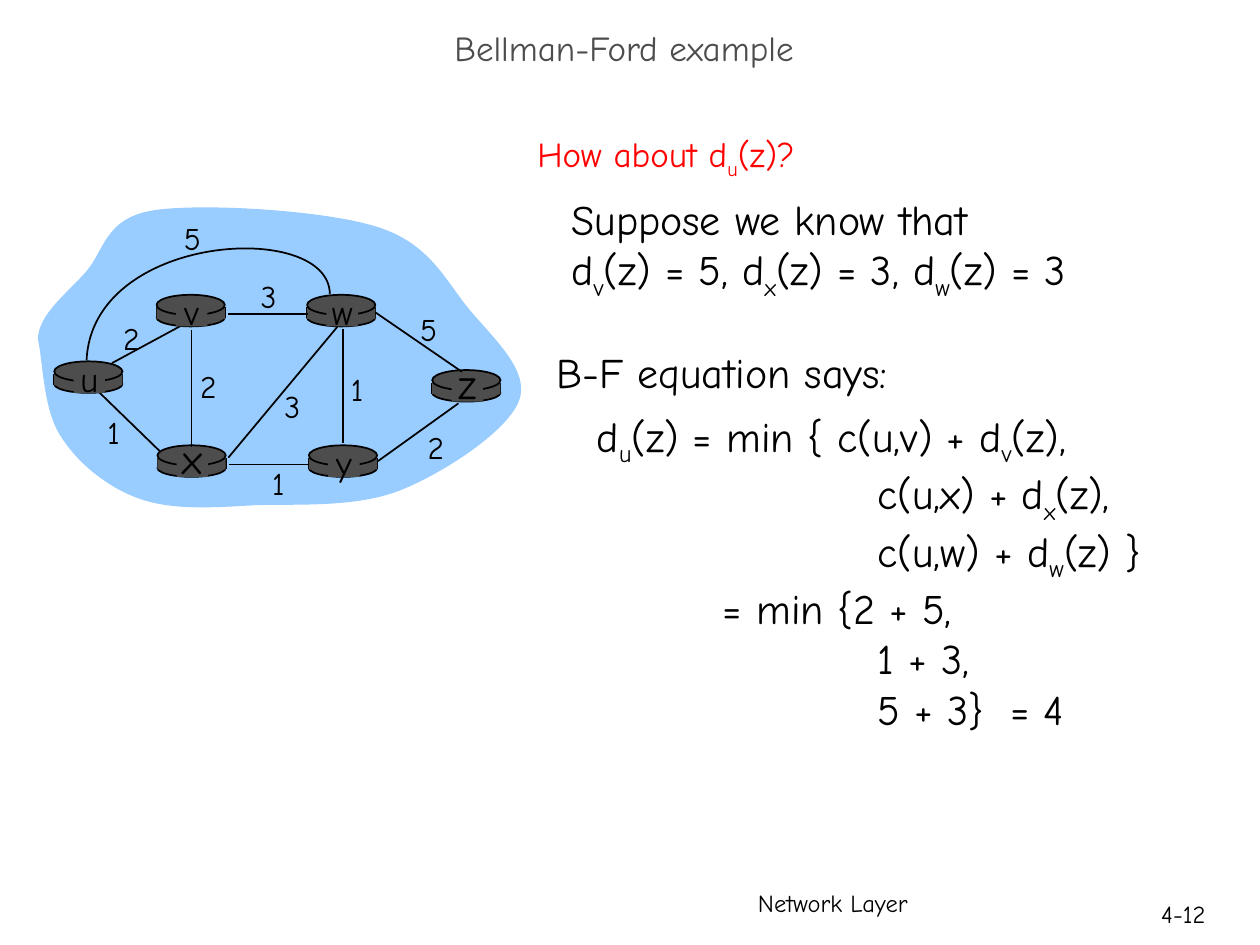
from itertools import chain

from lxml.etree import SubElement
from pptx import Presentation
from pptx.dml.color import RGBColor
from pptx.enum.shapes import MSO_CONNECTOR as Connector, MSO_SHAPE as Shape
from pptx.enum.text import MSO_ANCHOR as Anchor, MSO_AUTO_SIZE as AutoSize, PP_ALIGN as Align
from pptx.oxml.ns import qn
from pptx.util import Pt

BLACK, GREY, BLUE, RED = "000000", "4D4D4D", "99CCFF", "FF0000"


def color(hex_string):
    return RGBColor.from_string(hex_string)


class SlideWriter:
    font = "Comic Neue"
    line_width = 1

    def __init__(self, slide):
        self.slide = slide
        self.shapes = slide.shapes

    def paint(self, shape, fill=None, line=None):
        shape.shadow.inherit = False
        if fill:
            shape.fill.solid()
            shape.fill.fore_color.rgb = color(fill)
        else:
            shape.fill.background()
        if line:
            shape.line.color.rgb = color(line)
            shape.line.width = Pt(self.line_width)
        else:
            shape.line.fill.background()

    def preset(self, kind, left, top, width, height, fill, line=None):
        shape = self.shapes.add_shape(kind, Pt(left), Pt(top), Pt(width), Pt(height))
        self.paint(shape, fill, line)

    def line(self, start, end):
        connector = self.shapes.add_connector(
            Connector.STRAIGHT, *(Pt(value) for value in chain(start, end)))
        connector.line.color.rgb = color(BLACK)
        connector.line.width = Pt(self.line_width)
        SubElement(connector._element.spPr, qn("a:effectLst"))

    def curve(self, points, close, fill=None, line=None):
        """Draw cubic curves: a start point, then three points a curve."""
        outline = [(Pt(x), Pt(y)) for x, y in points]
        builder = self.shapes.build_freeform(*outline[0])
        builder.add_line_segments(outline[1:], close=close)
        shape = builder.convert_to_shape()
        # Join each three straight segments into one cubic curve
        segments = list(shape._element.spPr.iter(qn("a:lnTo")))
        for first in range(0, len(outline) - 1, 3):
            start, *others = segments[first:first + 3]
            cubic = start.makeelement(qn("a:cubicBezTo"))
            start.addprevious(cubic)
            for segment in (start, *others):
                cubic.append(segment[0])
                segment.getparent().remove(segment)
        self.paint(shape, fill, line)

    def text(self, left, top, width, height, lines, size, ink=BLACK, indents=(),
             frame_format=None, paragraph_format=None):
        """Write lines; the letter after an underscore is a subscript."""
        frame = self.shapes.add_textbox(Pt(left), Pt(top), Pt(width), Pt(height)).text_frame
        settings = {"word_wrap": False, "auto_size": AutoSize.SHAPE_TO_FIT_TEXT}
        for name, value in (settings | (frame_format or {})).items():
            setattr(frame, name, value)
        for index, line in enumerate(lines):
            paragraph = frame.add_paragraph() if index else frame.paragraphs[0]
            for name, value in (paragraph_format or {}).items():
                setattr(paragraph, name, value)
            if indents and indents[index]:
                properties = paragraph._p.get_or_add_pPr()
                properties.set("marL", str(Pt(indents[index])))
                properties.set("indent", "0")
            head, *tails = line.split("_")
            self.run(paragraph, head, size, ink)
            for tail in tails:
                self.run(paragraph, tail[0], size, ink, baseline="-25000")
                self.run(paragraph, tail[1:], size, ink)
        return frame

    def run(self, paragraph, words, size, ink=BLACK, **attributes):
        run = paragraph.add_run()
        run.text = words
        for name, value in {"name": self.font, "size": Pt(size)}.items():
            setattr(run.font, name, value)
        run.font.color.rgb = color(ink)
        for name, value in attributes.items():
            run._r.get_or_add_rPr().set(name, value)

    def label(self, words, center, top, size):
        self.text(center - 13, top, 26, size * 1.2 + 7.2, [words], size,
                  paragraph_format={"alignment": Align.CENTER})

    def router(self, left, top):
        width, middle = 39, top + 7.2
        self.preset(Shape.OVAL, left, top + 8, width, 10, GREY, BLACK)
        for side in (left, left + width):
            self.line((side, middle), (side, middle + 6.3))
        self.preset(Shape.RECTANGLE, left, middle, width, 6.5, GREY)
        self.preset(Shape.OVAL, left, top, width, 11.5, GREY, BLACK)

    def router_name(self, name, left, top, size):
        self.preset(Shape.RECTANGLE, left + 11, top + 1.5, 18, 16.5, GREY)
        self.label(name, left + 20, top + 18 - size * 1.2, size)


CLOUD = [
    (21.6, 193.7), (22.3, 179.3), (38.2, 167.8), (49, 155.5),
    (59.8, 143.3), (59.8, 124.6), (87.8, 120.2),
    (115.9, 115.9), (185.8, 120.2), (215.3, 129.6),
    (245.5, 139), (254.2, 159.8), (267.8, 176.4),
    (281.5, 193), (303.1, 211.7), (296.6, 229),
    (290.2, 246.2), (254.2, 270), (229, 280.1),
    (203.8, 290.2), (170.6, 288), (146.2, 288.7),
    (121, 290.2), (98.6, 291.6), (79.9, 285.1),
    (61.2, 278.6), (43.9, 264.2), (34.6, 249.1),
    (24.5, 234), (24.5, 205.2), (21.6, 193.7),
]
U_W_ARC = [(188.5, 168), (188, 125.5), (52.5, 133), (49.5, 206)]

# Name, left, top, text size
ROUTERS = [
    ("u", 31, 206.5, 20), ("x", 90, 254.5, 24), ("v", 89.5, 168.5, 20),
    ("w", 175.5, 168.5, 20), ("y", 176.5, 254.5, 20), ("z", 247, 211.5, 24),
]
# Start, end, cost, cost centre, cost top
LINKS = [
    ((64, 207.5), (106.5, 184.5), "2", 75, 178.5),
    ((109.5, 188.5), (109.5, 255.5), "2", 119, 206),
    ((91.5, 258), (57, 224.5), "1", 65, 232.5),
    ((130.5, 261.5), (193, 186.5), "3", 167, 217.5),
    ((176.5, 265.5), (131, 265.5), "1", 159, 261.5),
    ((196, 188), (196, 253), "1", 204, 208),
    ((216, 263.5), (262, 230.5), "2", 249, 241),
    ((264, 212.5), (214.5, 178.5), "5", 245, 173.5),
    ((176, 179.5), (130.5, 179.5), "3", 153.5, 155),
]
# Line, indent
EQUATION = [
    ("d_u(z) = min { c(u,v) + d_v(z),", 0),
    ("c(u,x) + d_x(z),", 160.5),
    ("c(u,w) + d_w(z) }", 160.5),
    ("= min {2 + 5,", 72),
    ("1 + 3,", 160.5),
    ("5 + 3}", 160.5),
]


def main():
    presentation = Presentation()
    presentation.slide_width, presentation.slide_height = Pt(720), Pt(540)
    writer = SlideWriter(presentation.slides.add_slide(presentation.slide_layouts[6]))

    # Footer and title
    fixed = {"auto_size": AutoSize.NONE}
    wrapped = fixed | {"word_wrap": True}
    centered = {"vertical_anchor": Anchor.MIDDLE}
    writer.text(426, 504, 228, 36, ["Network Layer"], 14, frame_format=wrapped)
    writer.text(643, 504, 53, 36, ["4-12"], 14, frame_format=fixed | centered,
                paragraph_format={"alignment": Align.RIGHT})
    writer.text(0, 12, 720, 36, ["Bellman-Ford example "], 20, GREY,
                frame_format=wrapped | centered,
                paragraph_format={"alignment": Align.CENTER, "line_spacing": 0.7})

    # Network: cloud, routers, links with costs, router names
    writer.curve(CLOUD, close=True, fill=BLUE)
    for _, left, top, _ in ROUTERS:
        writer.router(left, top)
    for start, end, cost, center, top in LINKS:
        writer.line(start, end)
        writer.label(cost, center, top, 18)
    writer.curve(U_W_ARC, close=False, line=BLACK)
    writer.label("5", 110, 121.5, 18)
    for router in ROUTERS:
        writer.router_name(*router)

    # Worked example, with a wide gap before the result
    writer.text(319.5, 107, 299, 69,
                ["Suppose we know that", "d_v(z) = 5, d_x(z) = 3, d_w(z) = 3"], 24)
    lines, indents = zip(*EQUATION)
    equation = writer.text(334, 231, 332, 192, lines, 24, indents=indents)
    writer.run(equation.paragraphs[-1], " ", 24, spc="700")
    writer.run(equation.paragraphs[-1], "= 4", 24)
    writer.text(311, 194.5, 206, 36, ["B-F equation says:"], 24)
    writer.text(300, 72, 165, 34.5, ["How about d_u(z)?"], 20, RED)

    presentation.save("out.pptx")


if __name__ == "__main__":
    main()
